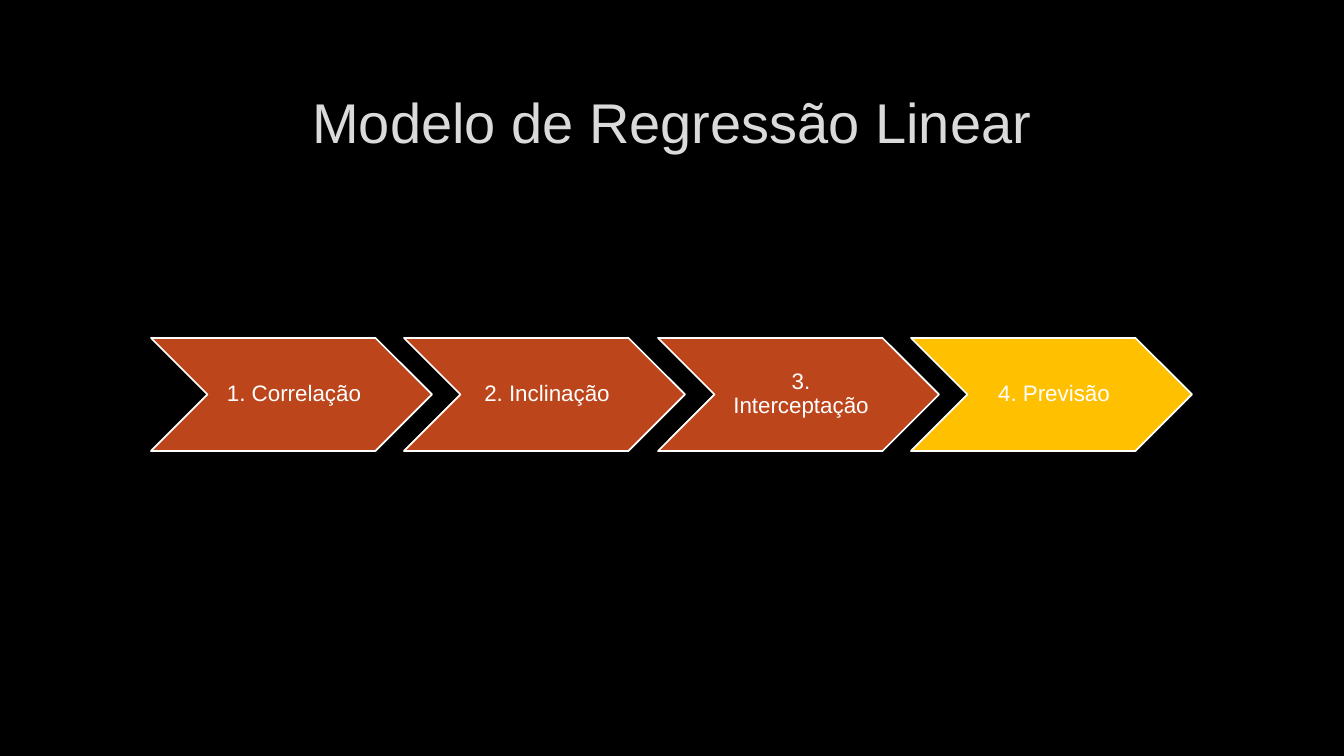
import pptx
import pptx.dml.color
import pptx.enum.shapes
import pptx.enum.text
import pptx.oxml
import pptx.oxml.ns
import pptx.util

EMU_PER_PX = 914400 / 100.8
STEPS = [
    ("1. Correlação", "BC451B"),
    ("2. Inclinação", "BC451B"),
    ("3. Interceptação", "BC451B"),
    ("4. Previsão", "FFC000"),
]
FIRST_LEFT, LAST_LEFT = 151, 911
STEP_TOP, STEP_WIDTH, STEP_HEIGHT = 338, 281, 113
NOTCH = 56


def px(length):
    return pptx.util.Emu(round(length * EMU_PER_PX))


def set_color(color_format, hex_color):
    color_format.rgb = pptx.dml.color.RGBColor.from_string(hex_color)


def set_attributes(target, values):
    for name, value in values.items():
        setattr(target, name, value)


def add_text(shapes, text, box, size, color, insets, line_spacing=1.0):
    label = shapes.add_textbox(*map(px, box))
    left, top, right, bottom = map(px, insets)
    set_attributes(label.text_frame, {
        "word_wrap": True,
        "vertical_anchor": pptx.enum.text.MSO_ANCHOR.MIDDLE,
        "margin_left": left,
        "margin_top": top,
        "margin_right": right,
        "margin_bottom": bottom,
    })
    paragraph = label.text_frame.paragraphs[0]
    set_attributes(paragraph, {
        "alignment": pptx.enum.text.PP_ALIGN.CENTER,
        "line_spacing": line_spacing,
    })
    run = paragraph.add_run()
    run.text = text
    set_attributes(run.font, {"name": "Arial", "size": pptx.util.Pt(size)})
    set_color(run.font.color, color)
    return run


def add_text_outline(run, color, width, opacity):
    outline = pptx.oxml.parse_xml(
        f'<a:ln {pptx.oxml.ns.nsdecls("a")} w="{pptx.util.Pt(width)}">'
        f'<a:solidFill><a:srgbClr val="{color}">'
        f'<a:alpha val="{opacity * 1000}"/></a:srgbClr></a:solidFill></a:ln>'
    )
    run.font._element.insert(0, outline)


def add_step(shapes, text, left, color):
    chevron = shapes.add_shape(
        pptx.enum.shapes.MSO_SHAPE.CHEVRON,
        *map(px, (left, STEP_TOP, STEP_WIDTH, STEP_HEIGHT)),
    )
    chevron.shadow.inherit = False
    chevron.fill.solid()
    set_color(chevron.fill.fore_color, color)
    set_color(chevron.line.color, "FFFFFF")
    chevron.line.width = pptx.util.Pt(1.25)
    label_box = (left + NOTCH, STEP_TOP, STEP_WIDTH - 2 * NOTCH, STEP_HEIGHT)
    add_text(shapes, text, label_box, 16, "FFFFFF", (7, 2, 2, 2), 0.9)


def main():
    presentation = pptx.Presentation()
    set_attributes(presentation, {"slide_width": px(1344), "slide_height": px(756)})
    slide = presentation.slides.add_slide(presentation.slide_layouts[6])
    slide.background.fill.solid()
    set_color(slide.background.fill.fore_color, "000000")

    title = add_text(slide.shapes, "Modelo de Regressão Linear",
                     (101, 68, 1141, 107), 40, "DADADA", (10, 5, 10, 5))
    add_text_outline(title, "404040", 0.75, 10)

    process = slide.shapes.add_group_shape()
    pitch = (LAST_LEFT - FIRST_LEFT) / (len(STEPS) - 1)
    for index, (text, color) in enumerate(STEPS):
        add_step(process.shapes, text, round(FIRST_LEFT + index * pitch), color)

    presentation.save("out.pptx")


if __name__ == "__main__":
    main()
